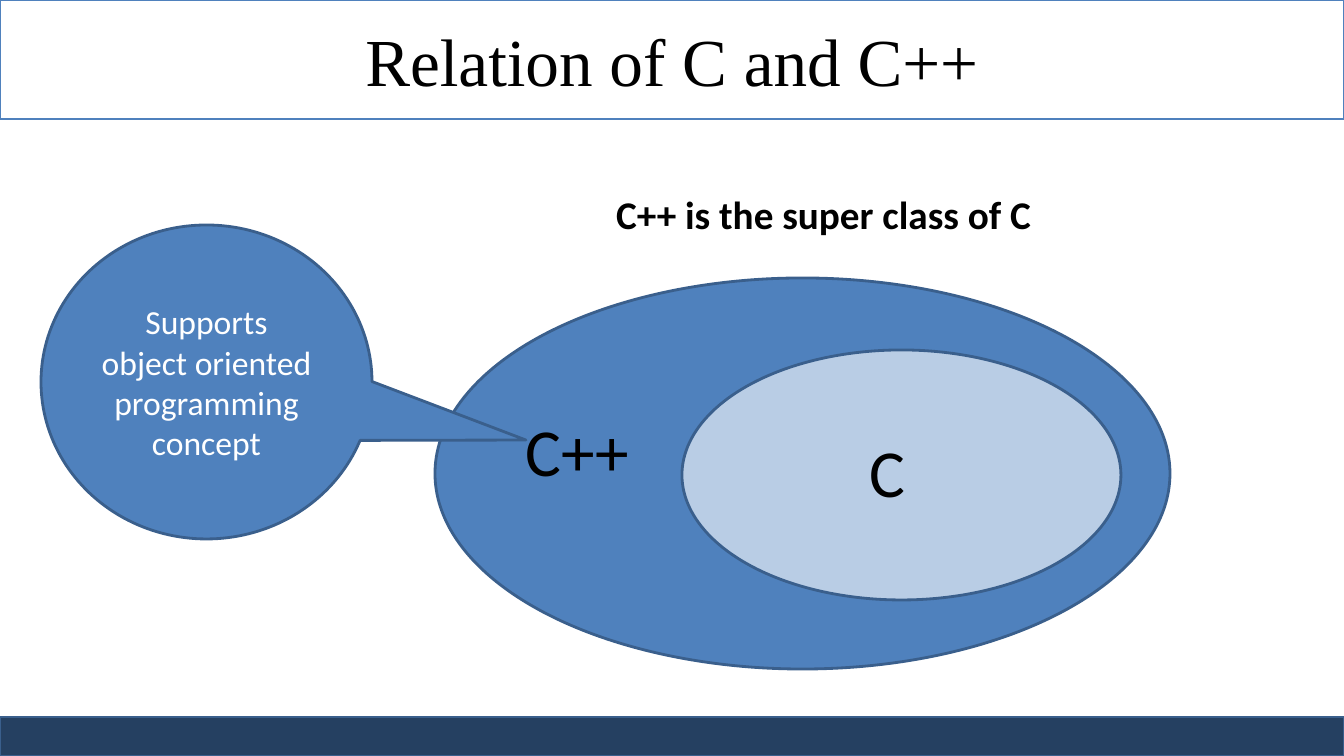
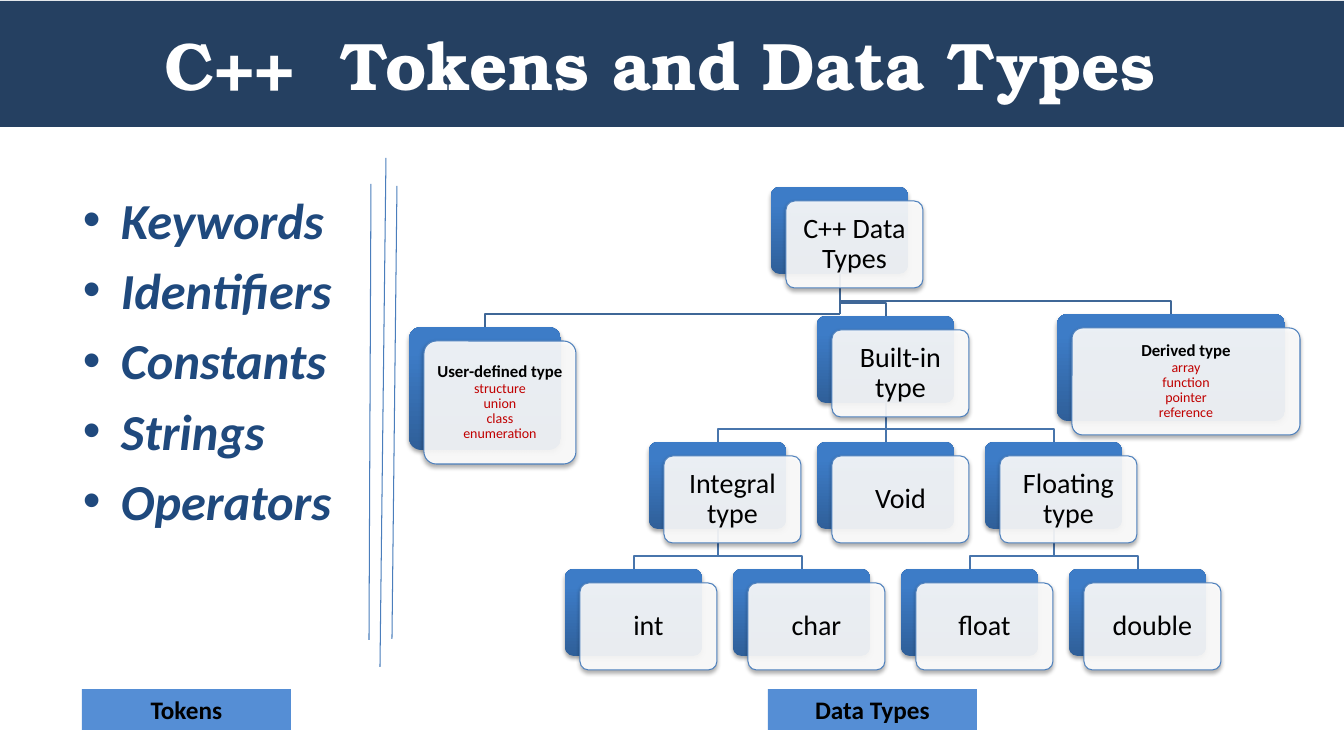
from dataclasses import dataclass

from lxml.etree import SubElement
from pptx import Presentation
from pptx.dml.color import RGBColor
from pptx.enum.shapes import MSO_CONNECTOR, MSO_SHAPE
from pptx.enum.text import MSO_ANCHOR, PP_ALIGN
from pptx.oxml.ns import qn
from pptx.util import Emu, Pt

SLIDE_W, SLIDE_H = 1344, 756
EMU_PER_PX = 12192000 / SLIDE_W

WHITE = RGBColor(0xFF, 0xFF, 0xFF)
BLACK = RGBColor(0x00, 0x00, 0x00)
NAVY = RGBColor(0x25, 0x40, 0x61)
INK_BLUE = RGBColor(0x1F, 0x49, 0x7D)
BLUE = RGBColor(0x4F, 0x81, 0xBD)
EDGE_BLUE = RGBColor(0x3A, 0x5F, 0x8C)
PALE_BLUE = RGBColor(0xB9, 0xCD, 0xE5)
LABEL_BLUE = RGBColor(0x55, 0x8E, 0xD5)
RULE_BLUE = RGBColor(0x4B, 0x7E, 0xBC)
CARD_DARK = RGBColor(0x2F, 0x5F, 0x99)
CARD_LIGHT = RGBColor(0x3D, 0x7C, 0xC7)
TRUNK_BLUE = RGBColor(0x3F, 0x67, 0x97)
BRANCH_BLUE = RGBColor(0x48, 0x75, 0xAC)
RED = RGBColor(0xC0, 0x00, 0x00)

BODY_FONT = "Calibri"
CARD_SHIFT_X, CARD_SHIFT_Y = 15, 14
BRANCH_DROP = 13


@dataclass
class Node:
    """A card of the tree; left and top are offsets from the tree's corner."""
    title: str
    left: int
    top: int
    width: int = 137
    height: int = 87
    members: tuple = ()
    children: tuple = ()

    @property
    def middle(self):
        return self.left + self.width / 2


def px(length):
    return Emu(round(length * EMU_PER_PX))


def px_box(*lengths):
    return [px(length) for length in lengths]


def write_text(shape, *lines, size, color=BLACK, font=BODY_FONT, bold=False,
               italic=False, align=PP_ALIGN.CENTER, anchor=MSO_ANCHOR.MIDDLE,
               spacing=None, before=None, bullet_indent=None):
    """Append one paragraph per line, after any text already in the shape."""
    frame = shape.text_frame
    frame.word_wrap = True
    frame.vertical_anchor = anchor
    for line in lines:
        paragraph = frame.add_paragraph() if frame.text else frame.paragraphs[0]
        paragraph.alignment = align
        if spacing:
            paragraph.line_spacing = spacing
        if before:
            paragraph.space_before = Pt(before)
        if bullet_indent:
            properties = paragraph._p.get_or_add_pPr()
            properties.set("marL", str(px(bullet_indent)))
            properties.set("indent", str(-px(bullet_indent)))
            SubElement(properties, qn("a:buFont")).set("typeface", "Arial")
            SubElement(properties, qn("a:buChar")).set("char", "•")
        run = paragraph.add_run()
        run.text = line
        run.font.name = font
        run.font.size = Pt(size)
        run.font.bold = bold
        run.font.italic = italic
        run.font.color.rgb = color


def paint(shape, fill, line=None, width=2):
    shape.fill.solid()
    shape.fill.fore_color.rgb = fill
    if line is None:
        shape.line.fill.background()
    else:
        shape.line.color.rgb = line
        shape.line.width = Pt(width)


def add_block(slide, kind, left, top, width, height, fill, line=None, line_width=2):
    block = slide.shapes.add_shape(kind, *px_box(left, top, width, height))
    block.shadow.inherit = False
    paint(block, fill, line, line_width)
    return block


def add_caption(slide, left, top, width, height, *lines, **style):
    caption = slide.shapes.add_textbox(*px_box(left, top, width, height))
    write_text(caption, *lines, **style)


def add_titled_slide(deck, title, top, height, fill, line=None, right_inset=10, **style):
    slide = deck.slides.add_slide(deck.slide_layouts[5])
    heading = slide.shapes.title
    heading.left, heading.top, heading.width, heading.height = px_box(
        0, top, SLIDE_W, height)
    paint(heading, fill, line)
    heading.text_frame.margin_right = px(right_inset)
    write_text(heading, title, size=48, **style)
    return slide


def draw_language_sets(slide, left, top):
    add_caption(slide, left + 92, top, 593, 54, "C++ is the super class of C",
                size=28, bold=True)
    add_block(slide, MSO_SHAPE.OVAL, left, top + 91, 735, 391, BLUE, EDGE_BLUE)
    add_caption(slide, left + 81, top + 217, 167, 92, "C++", size=48,
                align=PP_ALIGN.LEFT, anchor=MSO_ANCHOR.TOP)
    add_block(slide, MSO_SHAPE.OVAL, left + 247, top + 163, 439, 250, PALE_BLUE, EDGE_BLUE)
    add_caption(slide, left + 402, top + 238, 100, 92, "C", size=48,
                anchor=MSO_ANCHOR.TOP)


def draw_callout(slide, left, top):
    callout = add_block(slide, MSO_SHAPE.OVAL_CALLOUT, left, top, 331, 314,
                        BLUE, EDGE_BLUE)
    callout.adjustments[0] = 0.965
    callout.adjustments[1] = 0.185
    write_text(callout, "Supports object oriented programming concept",
               size=24, color=WHITE)


def add_card_shadow(shape):
    shape.shadow.inherit = False
    effects = shape._element.spPr.find(qn("a:effectLst"))
    shadow = SubElement(effects, qn("a:outerShdw"), blurRad="40000", dist="23000",
                        dir="5400000", rotWithShape="0")
    tint = SubElement(shadow, qn("a:srgbClr"), val="000000")
    SubElement(tint, qn("a:alpha"), val="35000")


def draw_card(slide, node, left, top):
    """A gradient card with a nearly opaque white card in front of it."""
    left, top = left + node.left, top + node.top
    back = add_block(slide, MSO_SHAPE.ROUNDED_RECTANGLE, left, top,
                     node.width, node.height, CARD_LIGHT)
    back.fill.gradient()
    back.fill.gradient_angle = 90
    for stop, color, position in zip(back.fill.gradient_stops,
                                     (CARD_DARK, CARD_LIGHT), (0, 0.8)):
        stop.color.rgb = color
        stop.position = position
    front = add_block(slide, MSO_SHAPE.ROUNDED_RECTANGLE, left + CARD_SHIFT_X,
                      top + CARD_SHIFT_Y, node.width, node.height, WHITE, BLUE, 0.75)
    tint = front._element.spPr.find(qn("a:solidFill")).find(qn("a:srgbClr"))
    SubElement(tint, qn("a:alpha"), val="90000")
    for card in (back, front):
        card.adjustments[0] = 0.1
        add_card_shadow(card)
    frame = front.text_frame
    frame.margin_left = frame.margin_right = px(6)
    frame.margin_top = frame.margin_bottom = px(5)
    write_text(front, node.title, size=12 if node.members else 20,
               bold=bool(node.members), spacing=0.9)
    write_text(front, *node.members, size=10, color=RED, spacing=0.9)


def draw_branches(slide, node, left, top, color):
    """One outline: the trunk under a card and an elbow to each child."""
    trunk_x = left + node.middle
    bends = [top + child.top - BRANCH_DROP for child in node.children]
    outline = slide.shapes.build_freeform(trunk_x, top + node.top + node.height,
                                          scale=EMU_PER_PX)
    outline.add_line_segments([(trunk_x, max(bends))], close=False)
    for child, bend in zip(node.children, bends):
        child_x = left + child.middle
        outline.move_to(trunk_x, bend)
        outline.add_line_segments([(child_x, bend), (child_x, top + child.top)],
                                  close=False)
    branches = outline.convert_to_shape()
    branches.shadow.inherit = False
    branches.fill.background()
    branches.line.color.rgb = color
    branches.line.width = Pt(2)


def walk(node):
    yield node
    for child in node.children:
        yield from walk(child)


def draw_tree(slide, root, left, top):
    nodes = list(walk(root))
    for node in nodes:
        if node.children:
            draw_branches(slide, node, left, top,
                          TRUNK_BLUE if node is root else BRANCH_BLUE)
    for node in nodes:
        draw_card(slide, node, left, top)


def data_type_tree():
    pitch, kind_top, leaf_top = 168, 255, 382
    leaves = [Node(name, 156 + pitch * column, leaf_top)
              for column, name in enumerate(("int", "char", "float", "double"))]
    kinds = [Node(name, 240 + pitch * column, kind_top, children=children)
             for column, (name, children) in enumerate((
                 ("Integral type", tuple(leaves[:2])),
                 ("Void", ()),
                 ("Floating type", tuple(leaves[2:]))))]
    return Node("C++ Data Types", 362, 0, children=(
        Node("User-defined type", 0, 140, 152, 123,
             members=("structure", "union", "class", "enumeration")),
        Node("Built-in type", 408, 129, children=tuple(kinds)),
        Node("Derived type", 648, 127, 228, 107,
             members=("array", "function", "pointer", "reference"))))


def draw_divider(slide, left, top):
    for x1, y1, x2, y2 in ((20, 0, 14, 509), (31, 28, 26, 481), (5, 26, 3, 482)):
        rule = slide.shapes.add_connector(
            MSO_CONNECTOR.STRAIGHT, *px_box(left + x1, top + y1, left + x2, top + y2))
        rule.line.color.rgb = RULE_BLUE
        rule.line.width = Pt(0.75)
        SubElement(rule._element.spPr, qn("a:effectLst"))


def draw_label(slide, left, top, text):
    label = add_block(slide, MSO_SHAPE.RECTANGLE, left, top, 209, 41, LABEL_BLUE)
    write_text(label, text, size=18, bold=True)


def build_relation_slide(deck):
    slide = add_titled_slide(deck, "Relation of C and C++", 0, 119, WHITE, BLUE,
                             font="Times New Roman")
    add_block(slide, MSO_SHAPE.RECTANGLE, 0, 717, SLIDE_W, 39, NAVY, EDGE_BLUE)
    draw_language_sets(slide, 435, 187)
    draw_callout(slide, 41, 225)


def build_tokens_slide(deck):
    slide = add_titled_slide(deck, "C++  Tokens and Data Types", 1, 126, NAVY,
                             right_inset=34, font="TeX Gyre Bonum",
                             color=WHITE, bold=True)
    add_caption(slide, 73, 184, 290, 499,
                "Keywords", "Identifiers", "Constants", "Strings", "Operators",
                size=36, color=INK_BLUE, bold=True, italic=True, before=7,
                align=PP_ALIGN.LEFT, anchor=MSO_ANCHOR.TOP, bullet_indent=38)
    draw_tree(slide, data_type_tree(), 409, 187)
    draw_divider(slide, 366, 158)
    draw_label(slide, 82, 689, "Tokens")
    draw_label(slide, 768, 689, "Data Types")


def main():
    deck = Presentation()
    deck.slide_width, deck.slide_height = px_box(SLIDE_W, SLIDE_H)
    build_relation_slide(deck)
    build_tokens_slide(deck)
    deck.save("out.pptx")


if __name__ == "__main__":
    main()
